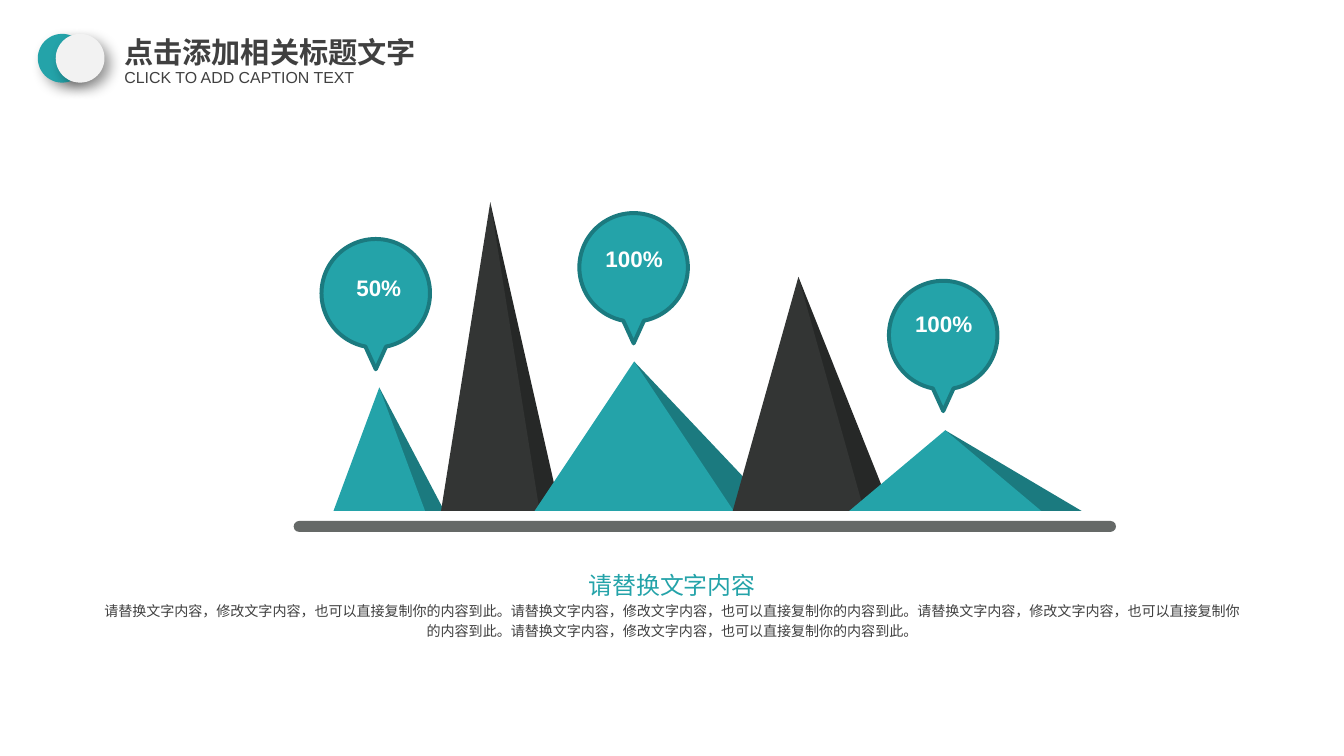
from dataclasses import dataclass
from lxml.etree import SubElement
from pptx import Presentation
from pptx.dml.color import RGBColor
from pptx.enum.shapes import MSO_SHAPE
from pptx.enum.text import MSO_ANCHOR, MSO_AUTO_SIZE, PP_ALIGN
from pptx.oxml.ns import qn
from pptx.util import Emu, Pt

PX = 9525


@dataclass(frozen=True)
class Theme:
    font: str = "Arial"
    teal: str = "24A3A9"
    deep_teal: str = "1B7A7F"
    charcoal: str = "333534"
    deep_charcoal: str = "262827"
    ground: str = "656967"
    pale: str = "F2F2F2"
    ink: str = "404040"
    white: str = "FFFFFF"
    title_size: float = 22
    caption_size: float = 12
    heading_size: float = 18
    body_size: float = 10.6
    percent_size: float = 16.9


THEME = Theme()


def px(*lengths):
    return [Emu(round(length * PX)) for length in lengths]


def add_solid(shapes, preset, box, color, outline=None):
    solid = shapes.add_shape(preset, *px(*box))
    solid.shadow.inherit = False
    solid.fill.solid()
    solid.fill.fore_color.rgb = RGBColor.from_string(color)
    if outline:
        solid.line.color.rgb = RGBColor.from_string(outline)
        solid.line.width = Pt(3)
    else:
        solid.line.fill.background()
    return solid


def cast_shadow(solid):
    effects = solid._element.spPr.find(qn("a:effectLst"))
    shadow = SubElement(effects, qn("a:outerShdw"), blurRad=str(Pt(10)), dist=str(Pt(6)),
                        dir="2700000", algn="tl", rotWithShape="0")
    tint = SubElement(shadow, qn("a:srgbClr"), val="000000")
    SubElement(tint, qn("a:alpha"), val="40000")


def style_paragraph(paragraph, text, size, color, bold=False, align=PP_ALIGN.LEFT):
    paragraph.text = text
    paragraph.alignment = align
    paragraph.font.name = THEME.font
    paragraph.font.size = Pt(size)
    paragraph.font.bold = bold
    paragraph.font.color.rgb = RGBColor.from_string(color)


def fit_heading(holder, box, text, size, bold):
    holder.left, holder.top, holder.width, holder.height = px(*box)
    frame = holder.text_frame
    frame.margin_left = frame.margin_top = frame.margin_right = frame.margin_bottom = 0
    frame.word_wrap = True
    frame.auto_size = MSO_AUTO_SIZE.SHAPE_TO_FIT_TEXT
    frame.vertical_anchor = MSO_ANCHOR.TOP
    style_paragraph(frame.paragraphs[0], text, size, THEME.ink, bold)


def build_header(slide, left, top):
    for shift, color in ((0, THEME.teal), (18, THEME.pale)):
        cast_shadow(add_solid(slide.shapes, MSO_SHAPE.OVAL, (left + shift, top, 49, 49), color))
    fit_heading(slide.shapes.title, (left + 87, top, 320, 36),
                "点击添加相关标题文字", THEME.title_size, True)
    caption_box = (left + 87, top + 34, 320, 19)
    fit_heading(slide.shapes.add_textbox(*px(*caption_box)), caption_box,
                "CLICK TO ADD CAPTION TEXT", THEME.caption_size, False)


def add_mountain(slide, left, top, width, height, face, side):
    mountain = slide.shapes.add_group_shape().shapes
    slope = add_solid(mountain, MSO_SHAPE.ISOSCELES_TRIANGLE,
                      (left + width / 2, top, width * 0.71, height), side)
    slope.adjustments[0] = 0
    add_solid(mountain, MSO_SHAPE.ISOSCELES_TRIANGLE, (left, top, width, height), face)


def add_marker(slide, left, top, percent, label_left, label_top, label_width):
    marker = slide.shapes.add_group_shape().shapes
    balloon = add_solid(marker, MSO_SHAPE.OVAL_CALLOUT, (left, top, 109, 109),
                        THEME.teal, THEME.deep_teal)
    balloon.adjustments[0] = 0
    balloon.adjustments[1] = 0.7
    label = marker.add_textbox(*px(left + label_left, top + label_top, label_width, 36))
    label.text_frame.word_wrap = False
    label.text_frame.auto_size = MSO_AUTO_SIZE.SHAPE_TO_FIT_TEXT
    style_paragraph(label.text_frame.paragraphs[0], percent, THEME.percent_size,
                    THEME.white, True, PP_ALIGN.CENTER)


def build_mountain_range(slide, left, top, width, height):
    ground = add_solid(slide.shapes, MSO_SHAPE.ROUNDED_RECTANGLE,
                       (left, top + height - 11, width, 11), THEME.ground)
    ground.adjustments[0] = 0.5
    teal = (THEME.teal, THEME.deep_teal)
    charcoal = (THEME.charcoal, THEME.deep_charcoal)
    foot = height - 21
    for start, rise, face_width, colors in (
        (40, 124, 92, teal),
        (148, 310, 99, charcoal),
        (242, 150, 200, teal),
        (441, 235, 132, charcoal),
        (558, 81, 193, teal),
    ):
        add_mountain(slide, left + start, top + foot - rise, face_width, rise, *colors)
    for start, drop, percent, *label in (
        (28, 37, "50%", 25, 30, 65),
        (287, 11, "100%", 16, 27, 78),
        (598, 79, "100%", 16, 25, 78),
    ):
        add_marker(slide, left + start, top + drop, percent, *label)


def build_description(slide, left, top, width, height):
    frame = slide.shapes.add_textbox(*px(left, top, width, height)).text_frame
    frame.word_wrap = True
    frame.auto_size = MSO_AUTO_SIZE.SHAPE_TO_FIT_TEXT
    sentence = "请替换文字内容，修改文字内容，也可以直接复制你的内容到此。"
    heading, body = frame.paragraphs[0], frame.add_paragraph()
    style_paragraph(heading, "请替换文字内容", THEME.heading_size, THEME.teal,
                    align=PP_ALIGN.CENTER)
    style_paragraph(body, sentence * 4, THEME.body_size, THEME.ink, align=PP_ALIGN.CENTER)
    for paragraph in (heading, body):
        paragraph.line_spacing = 1.2


def main():
    deck = Presentation()
    deck.slide_width, deck.slide_height = px(1350, 759)
    slide = deck.slides.add_slide(deck.slide_layouts[5])
    build_mountain_range(slide, 295, 203, 826, 331)
    build_description(slide, 93, 562, 1164, 106)
    build_header(slide, 38, 34)
    deck.save("out.pptx")


if __name__ == "__main__":
    main()
